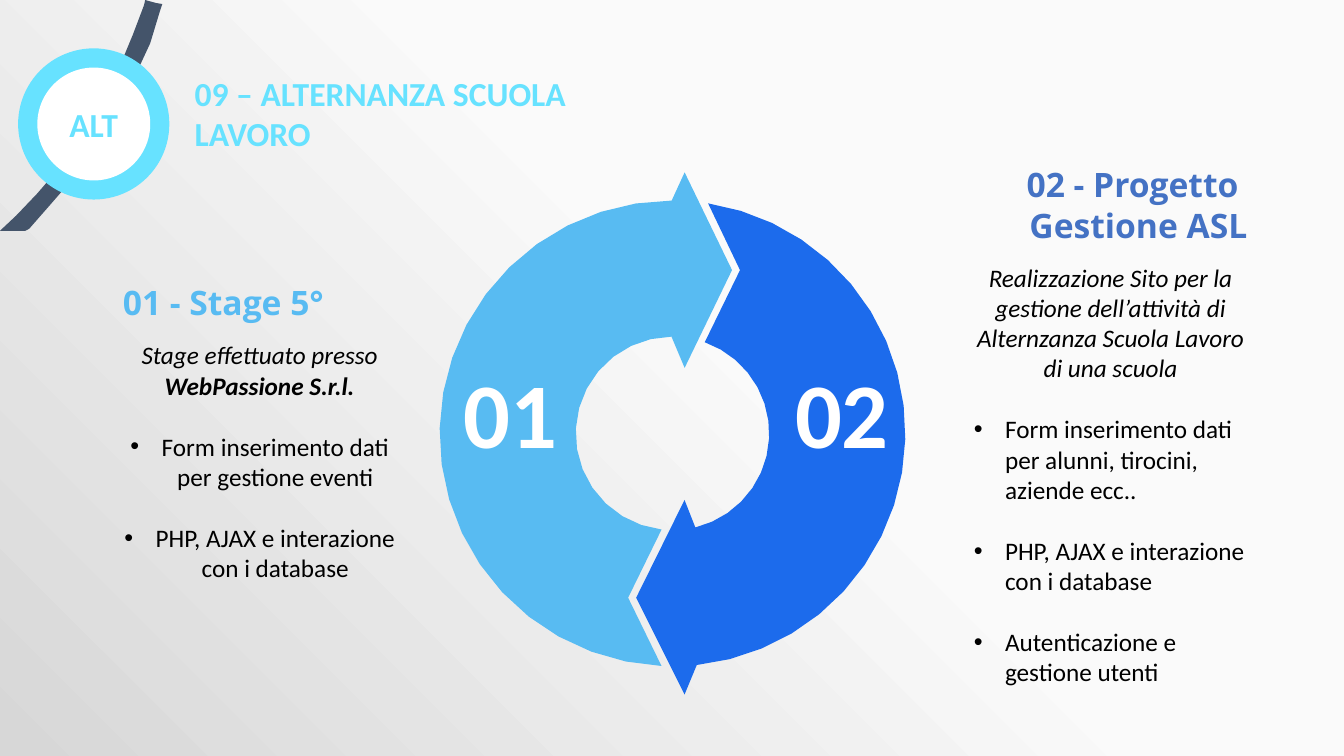
import math

import pptx
import pptx.dml.color
import pptx.enum.shapes
import pptx.enum.text
import pptx.oxml
import pptx.oxml.ns
import pptx.util

Inches = pptx.util.Inches
Pt = pptx.util.Pt
RGBColor = pptx.dml.color.RGBColor
ALIGN = pptx.enum.text.PP_ALIGN
ANCHOR = pptx.enum.text.MSO_ANCHOR

CYAN = RGBColor(0x67, 0xE2, 0xFF)
SKY = RGBColor(0x58, 0xBB, 0xF2)
ROYAL = RGBColor(0x1C, 0x6B, 0xEC)
INDIGO = RGBColor(0x44, 0x72, 0xC4)
SLATE = RGBColor(0x44, 0x54, 0x6A)
WHITE = RGBColor(0xFF, 0xFF, 0xFF)
BLACK = RGBColor(0, 0, 0)
BACKDROP_STOPS = ((44, "FAFAFA"), (100, "D7D7D7"), (100, "D7D7D7"), (100, "E4E4E4"))


def paint_backdrop(page):
    """Fill the background with a grey gradient centred on the top right corner."""
    page.background.fill.gradient()
    old = page.element.find(".//" + pptx.oxml.ns.qn("a:gradFill"))
    stops = "".join(
        f'<a:gs pos="{position * 1000}"><a:srgbClr val="{color}"/></a:gs>'
        for position, color in BACKDROP_STOPS
    )
    gradient = pptx.oxml.parse_xml(
        f'<a:gradFill {pptx.oxml.ns.nsdecls("a")} rotWithShape="1"><a:gsLst>{stops}</a:gsLst>'
        '<a:path path="circle"><a:fillToRect l="100000" b="100000"/></a:path></a:gradFill>'
    )
    old.getparent().replace(old, gradient)


def write(para, text, size=18, color=BLACK, font="Calibri", bold=False, italic=False):
    """Append a formatted run to a paragraph."""
    span = para.add_run()
    span.text = text
    span.font.size = Pt(size)
    span.font.name = font
    span.font.bold = bold
    span.font.italic = italic
    span.font.color.rgb = color


def add_bullet(para):
    """Give a paragraph a hanging round bullet."""
    properties = para._p.get_or_add_pPr()
    properties.set("marL", str(Inches(0.31)))
    properties.set("indent", str(-Inches(0.31)))
    for tag in ('a:buFont {} typeface="Arial"', 'a:buChar {} char="•"'):
        properties.append(pptx.oxml.parse_xml(f"<{tag.format(pptx.oxml.ns.nsdecls('a'))}/>"))


def add_text_frame(page, left, top, width, height, anchor=ANCHOR.TOP, wrap=True):
    """Add a text box and return its frame."""
    box = page.shapes.add_textbox(Inches(left), Inches(top), Inches(width), Inches(height))
    frame = box.text_frame
    frame.word_wrap = wrap
    frame.vertical_anchor = anchor
    return frame


def paint(shape, color):
    """Give a shape a flat fill without line or shadow."""
    shape.fill.solid()
    shape.fill.fore_color.rgb = color
    shape.line.fill.background()
    shape.shadow.inherit = False


def add_outline(page, left, top, points, color):
    """Draw a closed filled outline from points relative to a position."""
    corners = [(Inches(left + x), Inches(top + y)) for x, y in points]
    builder = page.shapes.build_freeform(*corners[0])
    builder.add_line_segments(corners[1:], close=True)
    paint(builder.convert_to_shape(), color)


def arc(radius, start, end, steps=20):
    """List points on a circle between two angles in degrees."""
    angles = [math.radians(start + (end - start) * step / steps) for step in range(steps + 1)]
    return [(radius * math.cos(angle), radius * math.sin(angle)) for angle in angles]


def add_cycle(page, center_x, center_y, outer=2.31, inner=0.96):
    """Draw the two numbered arrows that form the cycle."""
    blue = arc(outer, -81.2, 84) + [(0.12, 2.59), (-0.36, 1.63), (0.12, 0.66)]
    blue += arc(inner, 76.3, -70.5, steps=14) + [(0.67, -1.62)]
    light = arc(outer, 92.7, 269.8) + [(0.12, -2.59), (0.59, -1.62), (0.12, -0.65)]
    light += arc(inner, 269.4, 96.5, steps=14) + [(-0.44, 1.63)]
    for points, color, number, offset in ((blue, ROYAL, "02", 1.11), (light, SKY, "01", -2.18)):
        add_outline(page, center_x, center_y, points, color)
        frame = add_text_frame(
            page, center_x + offset, center_y - 0.82, 1.14, 1.21, ANCHOR.MIDDLE, wrap=False
        )
        para = frame.paragraphs[0]
        para.alignment = ALIGN.CENTER
        write(para, number, size=66, color=WHITE, bold=True)


def add_panel(page, left, top, heading, intro, items, color, heading_height, body_height,
              heading_align, item_align, width=2.91):
    """Place a heading with its introduction and bullets below."""
    frame = add_text_frame(page, left, top, width, heading_height, ANCHOR.BOTTOM)
    for index, line in enumerate(heading):
        para = frame.add_paragraph() if index else frame.paragraphs[0]
        para.alignment = heading_align
        write(para, line, size=24, color=color, font="Open Sans", bold=True)
    frame = add_text_frame(page, left, top + heading_height + 0.07, width, body_height)
    para = frame.paragraphs[0]
    para.alignment = ALIGN.CENTER
    for text, bold in intro:
        write(para, text, bold=bold, italic=True)
    for item in items:
        para = frame.add_paragraph()
        add_bullet(para)
        para.alignment = item_align
        para.space_before = Pt(22)
        write(para, item)


def add_badge(page, left, top, size=1.5, rim=0.19):
    """Draw the round badge and the band passing behind it."""
    upper_band = [(1.26, -0.48), (1.37, -0.45), (1.43, -0.44), (1.41, -0.38), (1.31, -0.05),
                  (1.18, 0.23), (1.15, 0.3), (1.09, 0.24), (1, 0.2), (1.02, 0.15),
                  (1.14, -0.14), (1.25, -0.43)]
    lower_band = [(0.37, 1.23), (0.4, 1.26), (0.51, 1.32), (0.52, 1.32), (0.32, 1.55),
                  (0.11, 1.79), (0.07, 1.81), (-0.18, 1.81), (-0.02, 1.66), (0.19, 1.44)]
    for band in (upper_band, lower_band):
        add_outline(page, left, top, band, SLATE)
    for inset, color in ((0, CYAN), (rim, WHITE)):
        side = Inches(size - 2 * inset)
        disc = page.shapes.add_shape(
            pptx.enum.shapes.MSO_SHAPE.OVAL, Inches(left + inset), Inches(top + inset), side, side
        )
        paint(disc, color)
    disc.text_frame.vertical_anchor = ANCHOR.MIDDLE
    para = disc.text_frame.paragraphs[0]
    para.alignment = ALIGN.CENTER
    write(para, "ALT", size=24, color=CYAN, bold=True)


def set_title(page, left, top, width, height, text):
    """Move and format the title placeholder."""
    title = page.shapes.title
    title.left, title.top = Inches(left), Inches(top)
    title.width, title.height = Inches(width), Inches(height)
    frame = title.text_frame
    frame.word_wrap = True
    frame.auto_size = pptx.enum.text.MSO_AUTO_SIZE.NONE
    frame.vertical_anchor = ANCHOR.TOP
    para = frame.paragraphs[0]
    para.alignment = ALIGN.LEFT
    write(para, text, size=24, color=CYAN, bold=True)


def main():
    """Build the slide and save the deck."""
    deck = pptx.Presentation()
    deck.slide_width, deck.slide_height = Inches(13.33), Inches(7.5)
    page = deck.slides.add_slide(deck.slide_layouts.get_by_name("Title Only"))
    paint_backdrop(page)
    set_title(page, 1.83, 0.67, 4.91, 0.5, "09 – ALTERNANZA SCUOLA LAVORO")
    add_cycle(page, 6.67, 4.3)
    add_panel(
        page, 9.56, 1.57, ["02 - Progetto ", "Gestione ASL"],
        [("Realizzazione Sito per la gestione dell’attività di "
          "Alternzanza Scuola Lavoro di una scuola", False)],
        ["Form inserimento dati per alunni, tirocini, aziende ecc..",
         "PHP, AJAX e interazione con i database",
         "Autenticazione e gestione utenti"],
        INDIGO, 0.91, 4.34, ALIGN.RIGHT, ALIGN.LEFT,
    )
    add_panel(
        page, 1.12, 2.75, ["01 - Stage 5°"],
        [("Stage effettuato presso ", False), ("WebPassione S.r.l.", True)],
        ["Form inserimento dati per gestione eventi",
         "PHP, AJAX e interazione con i database"],
        SKY, 0.5, 2.52, ALIGN.LEFT, ALIGN.CENTER,
    )
    add_badge(page, 0.18, 0.48)
    deck.save("out.pptx")


if __name__ == "__main__":
    main()
